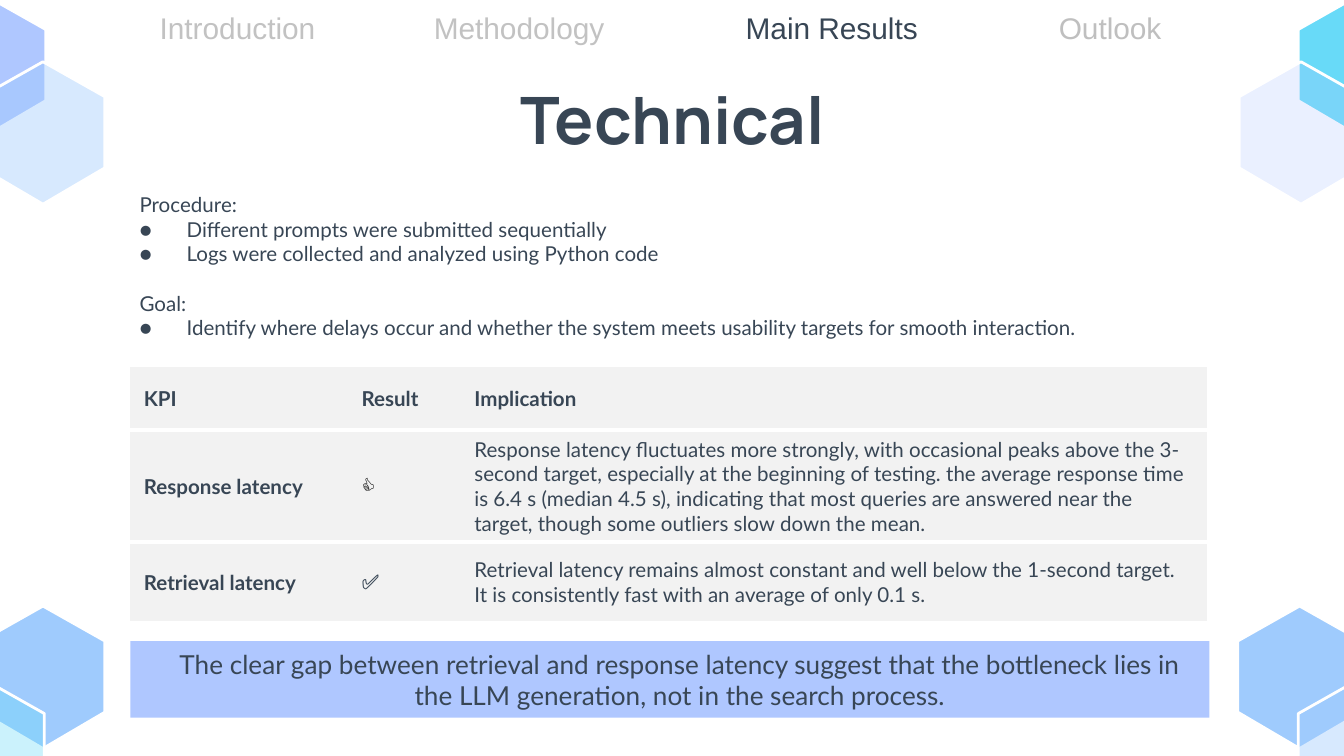
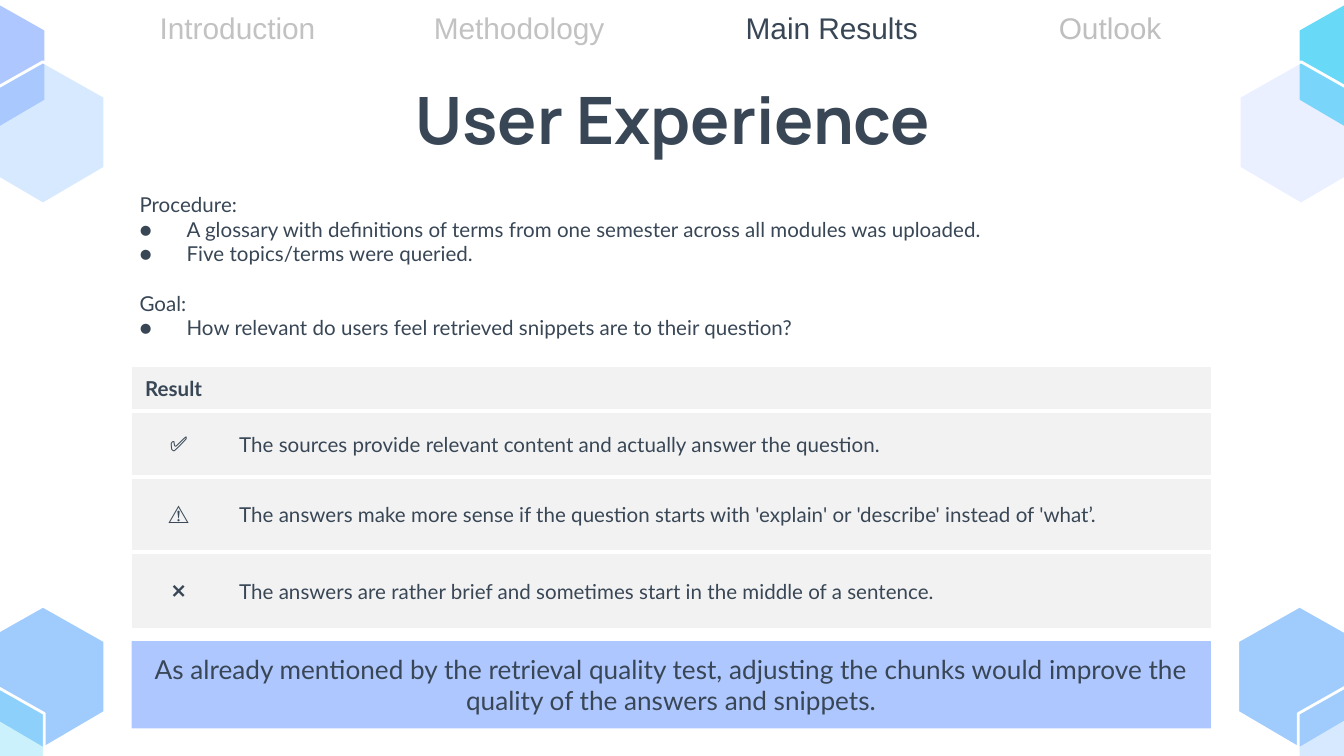
from pptx import Presentation
from pptx.dml.color import RGBColor
from pptx.enum.text import MSO_ANCHOR, MSO_AUTO_SIZE, PP_ALIGN
from pptx.enum.shapes import MSO_SHAPE
from pptx.oxml.ns import qn
from pptx.util import Inches, Pt
from lxml.etree import SubElement

INK, GREY, PALE = "384655", "C2C2C2", "F2F2F2"
BLUE, LILAC, CYAN, WHITE = "9FCBFD", "AFC7FF", "68DAF8", "FFFFFF"


def paint(fill, color):
    fill.solid()
    fill.fore_color.rgb = RGBColor.from_string(color)


def style(frame, size, face="Lato", color=INK, bold=False, align=PP_ALIGN.LEFT):
    frame.word_wrap = True
    for par in frame.paragraphs:
        par.alignment = align
        if not par.runs:
            SubElement(par._p, qn("a:endParaRPr")).set("sz", str(size * 100))
        for run in par.runs:
            run.font.size = Pt(size)
            run.font.name = face
            run.font.bold = bold
            paint(run.font.fill, color)


hexes = [
    (-0.14, 4.51, BLUE, 100),
    (-0.59, 5.05, CYAN, 34),
    (9.66, -0.04, CYAN, 100),
    (9.22, 0.46, LILAC, 25),
    (9.21, 4.51, BLUE, 100),
    (9.66, 5.05, BLUE, 41),
    (-0.58, -0.04, LILAC, 100),
    (-0.14, 0.46, BLUE, 41),
]
corners = [(0.46, 0), (0, 0.26), (0, 0.79), (0.46, 1.06), (0.92, 0.79), (0.92, 0.26)]
tabs = [
    ("Introduction", 1.09, 1.44, GREY),
    ("Methodology", 3.13, 1.57, GREY),
    ("Main Results", 5.45, 1.63, INK),
    ("Outlook", 7.78, 1.29, "BFBFBF"),
]
pages = [
    {
        "title": "Technical",
        "steps": [
            "Different prompts were submitted sequentially",
            "Logs were collected and analyzed using Python code",
        ],
        "goal": "Identify where delays occur and whether the system meets usability targets for smooth interaction.",
        "left": 0.97,
        "cols": [1.62, 0.84, 5.55],
        "rows": [0.47, 0.79, 0.6],
        "cells": [
            ["KPI", "Result", "Implication"],
            ["Response latency", "👍", "Response latency fluctuates more strongly, with occasional peaks above the 3-second target, especially at the beginning of testing. the average response time is 6.4 s (median 4.5 s), indicating that most queries are answered near the target, though some outliers slow down the mean."],
            ["Retrieval latency", "✅", "Retrieval latency remains almost constant and well below the 1-second target. It is consistently fast with an average of only 0.1 s."],
        ],
        "merge": False,
        "note": "The clear gap between retrieval and response latency suggest that the bottleneck lies in the LLM generation, not in the search process.",
        "high": 0.57,
        "dent": 0.15,
    },
    {
        "title": "User Experience",
        "steps": [
            "A glossary with definitions of terms from one semester across all modules was uploaded.",
            "Five topics/terms were queried.",
        ],
        "goal": "How relevant do users feel retrieved snippets are to their question?",
        "left": 0.98,
        "cols": [0.7, 2.15, 5.18],
        "rows": [0.33, 0.49, 0.56, 0.58],
        "cells": [
            ["Result", "", ""],
            ["✅", "The sources provide relevant content and actually answer the question.", ""],
            ["⚠️", "The answers make more sense if the question starts with 'explain' or 'describe' instead of 'what’.", ""],
            ["❌", "The answers are rather brief and sometimes start in the middle of a sentence.", ""],
        ],
        "merge": True,
        "note": "As already mentioned by the retrieval quality test, adjusting the chunks would improve the quality of the answers and snippets.",
        "high": 0.65,
        "dent": 0,
    },
]

deck = Presentation()
deck.slide_width = Inches(10)
deck.slide_height = Inches(10) * 9 // 16

for page in pages:
    slide = deck.slides.add_slide(deck.slide_layouts[5])
    shapes = slide.shapes

    for left, top, color, alpha in hexes:
        points = [(Inches(left + x), Inches(top + y)) for x, y in corners]
        path = shapes.build_freeform(*points[0])
        path.add_line_segments(points[1:], close=True)
        tile = path.convert_to_shape()
        tile.shadow.inherit = False
        paint(tile.fill, color)
        paint(tile.line.fill, WHITE)
        tile.line.width = Pt(1.5)
        if alpha < 100:
            tint = tile.element.spPr.find(qn("a:solidFill")).find(qn("a:srgbClr"))
            SubElement(tint, qn("a:alpha")).set("val", str(alpha * 1000))

    title = shapes.title
    title.left, title.top = Inches(0.79), Inches(0.49)
    title.width, title.height = Inches(8.43), Inches(0.63)
    frame = title.text_frame
    frame.text = page["title"]
    frame.auto_size = MSO_AUTO_SIZE.NONE
    frame.vertical_anchor = MSO_ANCHOR.TOP
    frame.margin_top = frame.margin_bottom = Inches(0.1)
    style(frame, 35, "Manrope", bold=True, align=PP_ALIGN.CENTER)

    body = shapes.add_textbox(Inches(0.79), Inches(1.33), Inches(8.43), Inches(3.44))
    frame = body.text_frame
    frame.margin_top = frame.margin_bottom = Inches(0.1)
    frame.text = "\n".join(["Procedure:", *page["steps"], "Goal:", page["goal"]])
    style(frame, 11)
    for par in frame.paragraphs:
        props = par._p.get_or_add_pPr()
        head = par.text.endswith(":")
        props.set("marL", str(Inches(0.15 if head else 0.5)))
        props.set("indent", str(Inches(0 if head else -0.35)))
        if par.text == "Goal:":
            par.space_before = Pt(13.2)
        if not head:
            SubElement(props, qn("a:buFont")).set("typeface", "Lato")
            SubElement(props, qn("a:buChar")).set("char", "●")

    for label, left, width, color in tabs:
        tab = shapes.add_textbox(Inches(left), Inches(0.02), Inches(width), Inches(0.37))
        frame = tab.text_frame
        frame.text = label
        frame.vertical_anchor = MSO_ANCHOR.MIDDLE
        frame.auto_size = MSO_AUTO_SIZE.SHAPE_TO_FIT_TEXT
        style(frame, 16, "Arial", color)

    cells, cols, rows = page["cells"], page["cols"], page["rows"]
    left = Inches(page["left"])
    grid = shapes.add_table(len(rows), len(cols), left, Inches(2.73), Inches(sum(cols)), Inches(sum(rows))).table
    grid.horz_banding = False
    for col, width in zip(grid.columns, cols):
        col.width = Inches(width)
    for row, height in zip(grid.rows, rows):
        row.height = Inches(height)
    for r, texts in enumerate(cells):
        for c, text in enumerate(texts):
            cell = grid.cell(r, c)
            cell.text = text
            cell.vertical_anchor = MSO_ANCHOR.MIDDLE
            icon = 0 < len(text) < 3
            style(
                cell.text_frame,
                11,
                "Arial" if icon else "Lato",
                "000000" if text == "👍" else INK,
                r == 0 or (c == 0 and not icon),
                PP_ALIGN.CENTER if icon and c == 0 else PP_ALIGN.LEFT,
            )
            props = cell._tc.get_or_add_tcPr()
            for side in "LRTB":
                edge = SubElement(props, qn("a:ln" + side))
                if side in "LR" or (side == "T" and r == 0):
                    SubElement(edge, qn("a:noFill"))
                else:
                    edge.set("w", str(Pt(2.25)))
                    fill = SubElement(edge, qn("a:solidFill"))
                    SubElement(fill, qn("a:srgbClr")).set("val", WHITE)
            paint(cell.fill, PALE)
            props.append(props.find(qn("a:solidFill")))
        if page["merge"] and r > 0:
            grid.cell(r, 1).merge(grid.cell(r, 2))

    note = shapes.add_shape(MSO_SHAPE.RECTANGLE, left, Inches(4.77), Inches(8.03), Inches(page["high"]))
    note.shadow.inherit = False
    paint(note.fill, LILAC)
    note.line.fill.background()
    frame = note.text_frame
    frame.text = page["note"]
    frame.vertical_anchor = MSO_ANCHOR.MIDDLE
    style(frame, 14, align=PP_ALIGN.CENTER)
    frame.paragraphs[0]._p.get_or_add_pPr().set("marL", str(Inches(page["dent"])))

deck.save("out.pptx")
